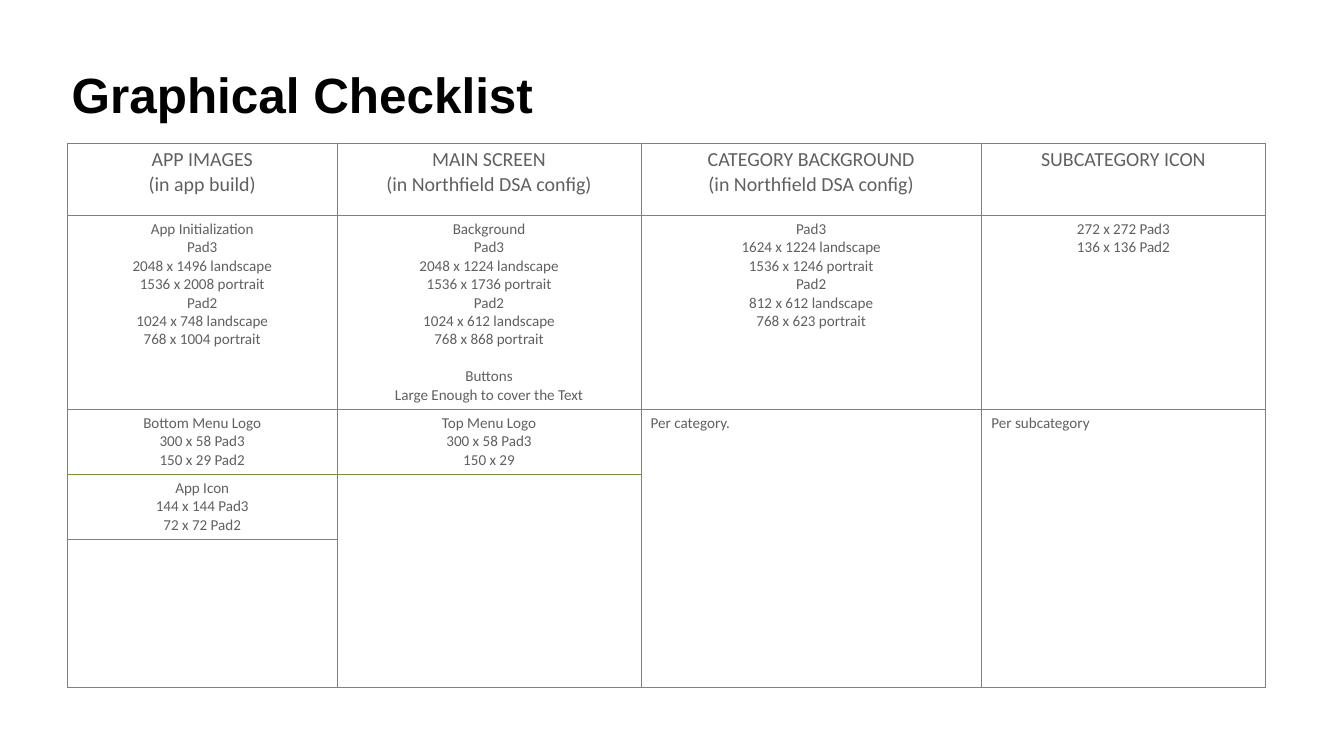
"""Build the Graphical Checklist slide."""
from dataclasses import dataclass

from lxml import etree
from pptx import Presentation
from pptx import util as u
from pptx.dml.color import RGBColor
from pptx.enum import text
from pptx.oxml import ns
from pptx.slide import Slide
from pptx.table import _Cell


@dataclass(frozen=True)
class Theme:
    title_font: str = "Arial"
    body_font: str = "Calibri"
    title_size: int = 72
    header_size: int = 29
    body_size: int = 22
    group_gap: float = 26.8
    title_color: str = "000000"
    text_color: str = "606060"
    cell_fill: str = "FFFFFF"
    grid_color: str = "7F7F7F"
    accent_color: str = "77933C"


@dataclass(frozen=True)
class Entry:
    row: int
    column: int
    groups: tuple[str, ...]
    centered: bool = True


THEME = Theme()
COLUMN_WIDTHS = (5.46, 6.14, 6.89, 5.74)
ROW_HEIGHTS = (1.46, 3.85, 1.28, 1.28, 2.99)
MERGES = ((2, 2), (2, 3), (3, 1))
FIRST_ACCENT_LINE = 3

ENTRIES = (
    Entry(0, 0, ("APP IMAGES\n(in app build)",)),
    Entry(0, 1, ("MAIN SCREEN\n(in Northfield DSA config)",)),
    Entry(0, 2, ("CATEGORY BACKGROUND\n(in Northfield DSA config)",)),
    Entry(0, 3, ("SUBCATEGORY ICON",)),
    Entry(1, 0, ("App Initialization\nPad3\n2048 x 1496 landscape\n1536 x 2008 portrait\n"
                 "Pad2\n1024 x 748 landscape\n768 x 1004 portrait",)),
    Entry(1, 1, ("Background\nPad3\n2048 x 1224 landscape\n1536 x 1736 portrait\n"
                 "Pad2\n1024 x 612 landscape\n768 x 868 portrait",
                 "Buttons\nLarge Enough to cover the Text")),
    Entry(1, 2, ("Pad3\n1624 x 1224 landscape\n1536 x 1246 portrait\n"
                 "Pad2\n812 x 612 landscape\n768 x 623 portrait",)),
    Entry(1, 3, ("272 x 272 Pad3\n136 x 136 Pad2",)),
    Entry(2, 0, ("Bottom Menu Logo\n300 x 58 Pad3\n150 x 29 Pad2",)),
    Entry(2, 1, ("Top Menu Logo\n300 x 58 Pad3\n150 x 29",)),
    Entry(2, 2, ("Per category.",), centered=False),
    Entry(2, 3, ("Per subcategory",), centered=False),
    Entry(3, 0, ("App Icon\n144 x 144 Pad3\n72 x 72 Pad2",)),
)


def add_title(page: Slide) -> None:
    box = page.shapes.title
    box.left, box.top = u.Inches(1.36), u.Inches(0.61)
    box.width, box.height = u.Inches(24.46), u.Inches(2.55)
    frame = box.text_frame
    frame.auto_size = text.MSO_AUTO_SIZE.NONE
    frame.vertical_anchor = text.MSO_ANCHOR.MIDDLE
    frame.margin_left, frame.margin_right = u.Inches(0.09), u.Inches(0.15)
    frame.margin_top = frame.margin_bottom = u.Inches(0.06)
    para = frame.paragraphs[0]
    para.text = "Graphical Checklist"
    para.alignment = text.PP_ALIGN.LEFT
    para.font.name = THEME.title_font
    para.font.size = u.Pt(THEME.title_size)
    para.font.bold = True
    para.font.color.rgb = RGBColor.from_string(THEME.title_color)


def style_cell(cell: _Cell, row: int) -> None:
    top, bottom = (
        THEME.accent_color if line >= FIRST_ACCENT_LINE else THEME.grid_color
        for line in (row, row + 1)
    )
    borders = {"lnL": THEME.grid_color, "lnR": THEME.grid_color, "lnT": top, "lnB": bottom}
    properties = cell._tc.get_or_add_tcPr()
    for side, color in borders.items():
        border = etree.SubElement(properties, ns.qn(f"a:{side}"), w=str(u.Pt(1)))
        fill = etree.SubElement(border, ns.qn("a:solidFill"))
        etree.SubElement(fill, ns.qn("a:srgbClr"), val=color)
    cell.fill.solid()
    cell.fill.fore_color.rgb = RGBColor.from_string(THEME.cell_fill)
    cell.margin_left = cell.margin_right = u.Inches(0.2)
    cell.margin_top = cell.margin_bottom = u.Inches(0.1)


def write_entry(cell: _Cell, entry: Entry) -> None:
    frame = cell.text_frame
    frame.text = "\n".join(entry.groups)
    for para in frame.paragraphs:
        para.alignment = text.PP_ALIGN.CENTER if entry.centered else text.PP_ALIGN.LEFT
        para.font.name = THEME.body_font
        para.font.size = u.Pt(THEME.body_size if entry.row else THEME.header_size)
        para.font.color.rgb = RGBColor.from_string(THEME.text_color)
    start = 0
    for group in entry.groups[:-1]:
        start += len(group.split("\n"))
        frame.paragraphs[start].space_before = u.Pt(THEME.group_gap)


def add_checklist(page: Slide) -> None:
    table = page.shapes.add_table(
        len(ROW_HEIGHTS), len(COLUMN_WIDTHS), u.Inches(1.36), u.Inches(2.89),
        u.Inches(sum(COLUMN_WIDTHS)), u.Inches(sum(ROW_HEIGHTS)),
    ).table
    table.first_row = table.horz_banding = False
    for column, width in zip(table.columns, COLUMN_WIDTHS):
        column.width = u.Inches(width)
    for index, (row, height) in enumerate(zip(table.rows, ROW_HEIGHTS)):
        row.height = u.Inches(height)
        for cell in row.cells:
            style_cell(cell, index)
    for row, column in MERGES:
        table.cell(row, column).merge(table.cell(len(ROW_HEIGHTS) - 1, column))
    for entry in ENTRIES:
        write_entry(table.cell(entry.row, entry.column), entry)


def main() -> None:
    deck = Presentation()
    deck.slide_width, deck.slide_height = u.Inches(27.18), u.Inches(15.28)
    page = deck.slides.add_slide(deck.slide_layouts.get_by_name("Title Only"))
    add_title(page)
    add_checklist(page)
    deck.save("out.pptx")


if __name__ == "__main__":
    main()
